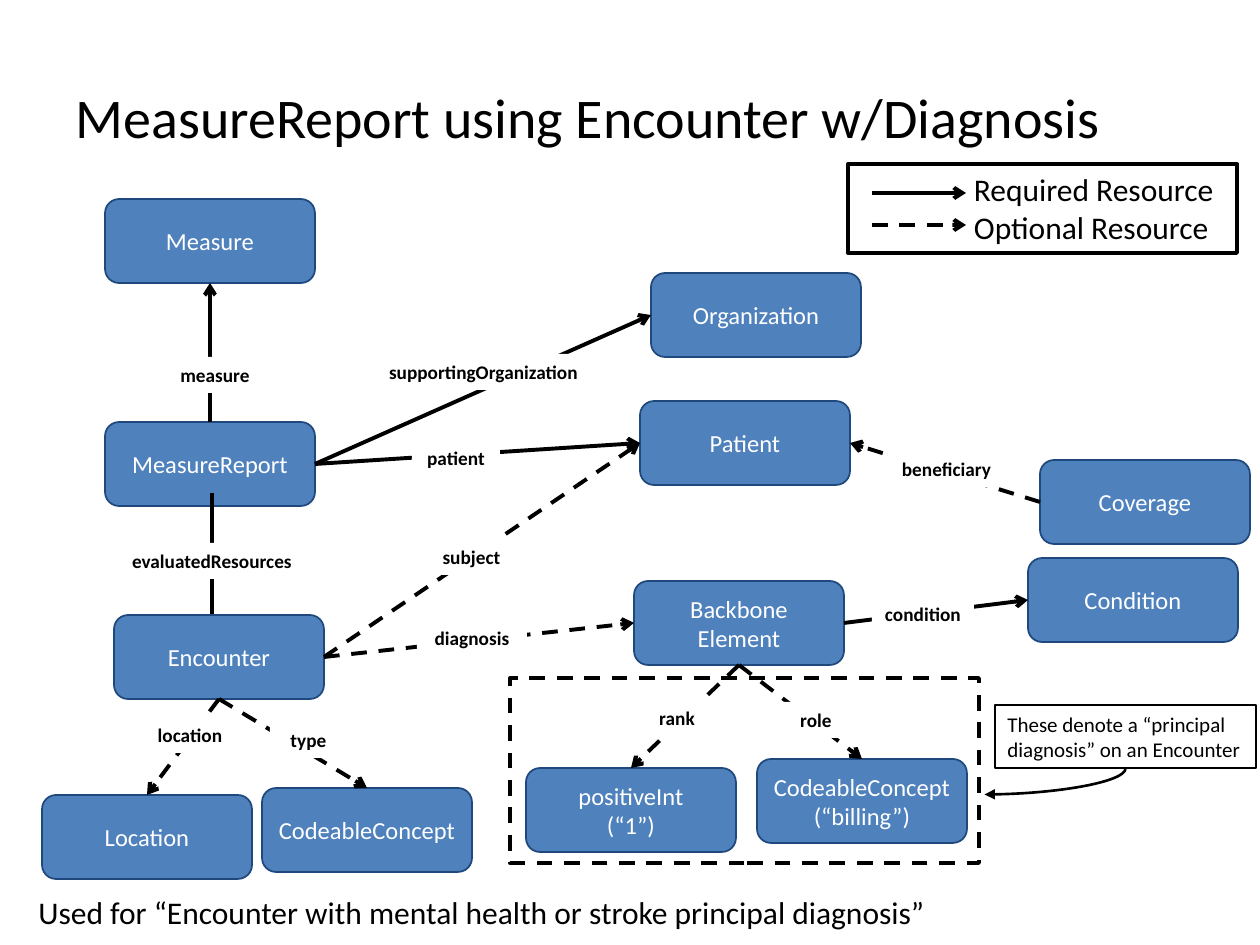
from lxml import etree
from pptx import Presentation
from pptx.dml.color import RGBColor
from pptx.enum.dml import MSO_LINE
from pptx.enum.shapes import MSO_CONNECTOR, MSO_SHAPE
from pptx.enum.text import MSO_ANCHOR, PP_ALIGN
from pptx.oxml.ns import qn
from pptx.util import Pt

BLACK = RGBColor(0x00, 0x00, 0x00)
WHITE = RGBColor(0xFF, 0xFF, 0xFF)
BLUE = RGBColor(0x4F, 0x81, 0xBD)
NAVY = RGBColor(0x1F, 0x49, 0x7D)
FONT = "Calibri"
RECT = MSO_SHAPE.RECTANGLE
NODE = MSO_SHAPE.FLOWCHART_ALTERNATE_PROCESS
LINE, CURVE = MSO_CONNECTOR.STRAIGHT, MSO_CONNECTOR.CURVE
DASH = MSO_LINE.DASH
LEFT, MID = PP_ALIGN.LEFT, PP_ALIGN.CENTER
HIGH, CORE = MSO_ANCHOR.TOP, MSO_ANCHOR.MIDDLE
TOP, WEST, BASE, EAST = range(4)  # connection sites of a node

# Node name: text, left, top
NODES = {
    "measure": ("Measure", 105, 199),
    "report": ("MeasureReport", 105, 422),
    "org": ("Organization", 651, 273),
    "patient": ("Patient", 640, 401),
    "place": ("Location", 42, 795),
    "cover": ("Coverage", 1040, 460),
    "type": ("CodeableConcept", 262, 788),
    "bone": ("Backbone\nElement", 634, 581),
    "rank": ("positiveInt\n(“1”)", 526, 768),
    "role": ("CodeableConcept (“billing”)", 757, 759),
    "cond": ("Condition", 1028, 558),
    "visit": ("Encounter", 114, 615),
}
# From node, site, to node, site, dashed, label, label left, top, width
LINKS = [
    ("report", TOP, "measure", BASE, False, "measure", 136, 357, 158),
    ("report", EAST, "org", WEST, False, "supportingOrganization", 368, 354, 231),
    ("report", EAST, "patient", WEST, False, "patient", 412, 440, 88),
    ("cover", WEST, "patient", EAST, True, "beneficiary", 884, 451, 125),
    ("visit", BASE, "place", TOP, True, "location", 135, 717, 110),
    ("visit", BASE, "type", TOP, True, "type", 270, 722, 77),
    ("visit", EAST, "patient", WEST, True, "subject", 425, 539, 93),
    ("visit", EAST, "bone", WEST, True, "diagnosis", 417, 620, 110),
    ("bone", BASE, "role", TOP, True, "role", 782, 702, 68),
    ("bone", BASE, "rank", TOP, True, "rank", 622, 700, 110),
    ("bone", EAST, "cond", WEST, False, "condition", 872, 596, 102),
]


def px(n):
    return round(n * 914400 / 126)


def write(frame, text, size, color=BLACK, bold=False, align=LEFT, anchor=HIGH):
    frame.word_wrap = True
    frame.vertical_anchor = anchor
    frame.text = text
    for para in frame.paragraphs:
        para.alignment = align
        font = para.font
        font.name, font.size, font.bold = FONT, Pt(size), bold
        font.color.rgb = color


def box(slide, kind, area, fill=None, edge=None, width=1.0, dash=None):
    shape = slide.shapes.add_shape(kind, *map(px, area))
    shape.shadow.inherit = False
    if fill is None:
        shape.fill.background()
    else:
        shape.fill.solid()
        shape.fill.fore_color.rgb = fill
    if edge is None:
        shape.line.fill.background()
    else:
        shape.line.color.rgb = edge
        shape.line.width = Pt(width)
        shape.line.dash_style = dash
    return shape


def node(slide, text, left, top):
    shape = box(slide, NODE, (left, top, 210, 84), BLUE, NAVY)
    write(shape.text_frame, text, 14, WHITE, align=MID, anchor=CORE)
    return shape


def label(slide, text, left, top, width):
    shape = box(slide, RECT, (left, top, width, 36), WHITE)
    write(shape.text_frame, text, 11, bold=True, align=MID)


def arrow(slide, ends=(0, 0, 0, 0), dashed=False, kind=LINE, width=2.25, head="arrow"):
    link = slide.shapes.add_connector(kind, *map(px, ends))
    link.line.color.rgb = BLACK
    link.line.width = Pt(width)
    if dashed:
        link.line.dash_style = DASH
    props = link._element.spPr
    etree.SubElement(props.find(qn("a:ln")), qn("a:tailEnd"), type=head)
    etree.SubElement(props, qn("a:effectLst"))
    return link


def legend(slide):
    key = box(slide, RECT, (848, 164, 389, 89), edge=BLACK, width=2.25)
    write(key.text_frame, "Required Resource\nOptional Resource", 18)
    key.text_frame.margin_left = px(126)
    arrow(slide, (872, 193, 966, 193))
    arrow(slide, (872, 225, 966, 225), True)


def callout(slide):
    box(slide, RECT, (510, 678, 469, 185), edge=BLACK, width=2.25, dash=DASH)
    note = box(slide, RECT, (995, 705, 261, 63), edge=BLACK, width=1.5)
    write(note.text_frame, "These denote a “principal diagnosis” on an Encounter", 12)
    # Quarter bend, turned to leave the note downwards
    bend = arrow(slide, (1042, 711, 1068, 852), kind=CURVE, width=1.5, head="triangle")
    props = bend._element.spPr
    props.find(qn("a:xfrm")).set("rot", "5400000")
    props.find(qn("a:prstGeom")).set("prst", "curvedConnector2")


def main():
    deck = Presentation()
    deck.slide_width, deck.slide_height = px(1260), px(945)
    slide = deck.slides.add_slide(deck.slide_layouts[5])

    # Title and footer
    title = slide.shapes.title
    title.left, title.top, title.width, title.height = map(px, (63, 38, 1134, 157))
    write(title.text_frame, "MeasureReport using Encounter w/Diagnosis", 32, anchor=CORE)
    foot = slide.shapes.add_textbox(*map(px, (26, 887, 919, 50)))
    write(foot.text_frame,
          "Used for “Encounter with mental health or stroke principal diagnosis”", 18)

    # Nodes; the Encounter node comes last and covers the arrow's tip
    nodes = {}
    for name, spec in NODES.items():
        if name == "visit":
            arrow(slide, (212, 493, 212, 630))
            label(slide, "evaluatedResources", 99, 543, 226)
        nodes[name] = node(slide, *spec)

    # Links with their labels
    for start, out, end, into, dashed, *tag in LINKS:
        link = arrow(slide, dashed=dashed)
        link.begin_connect(nodes[start], out)
        link.end_connect(nodes[end], into)
        label(slide, *tag)

    legend(slide)
    callout(slide)
    deck.save("out.pptx")


if __name__ == "__main__":
    main()
